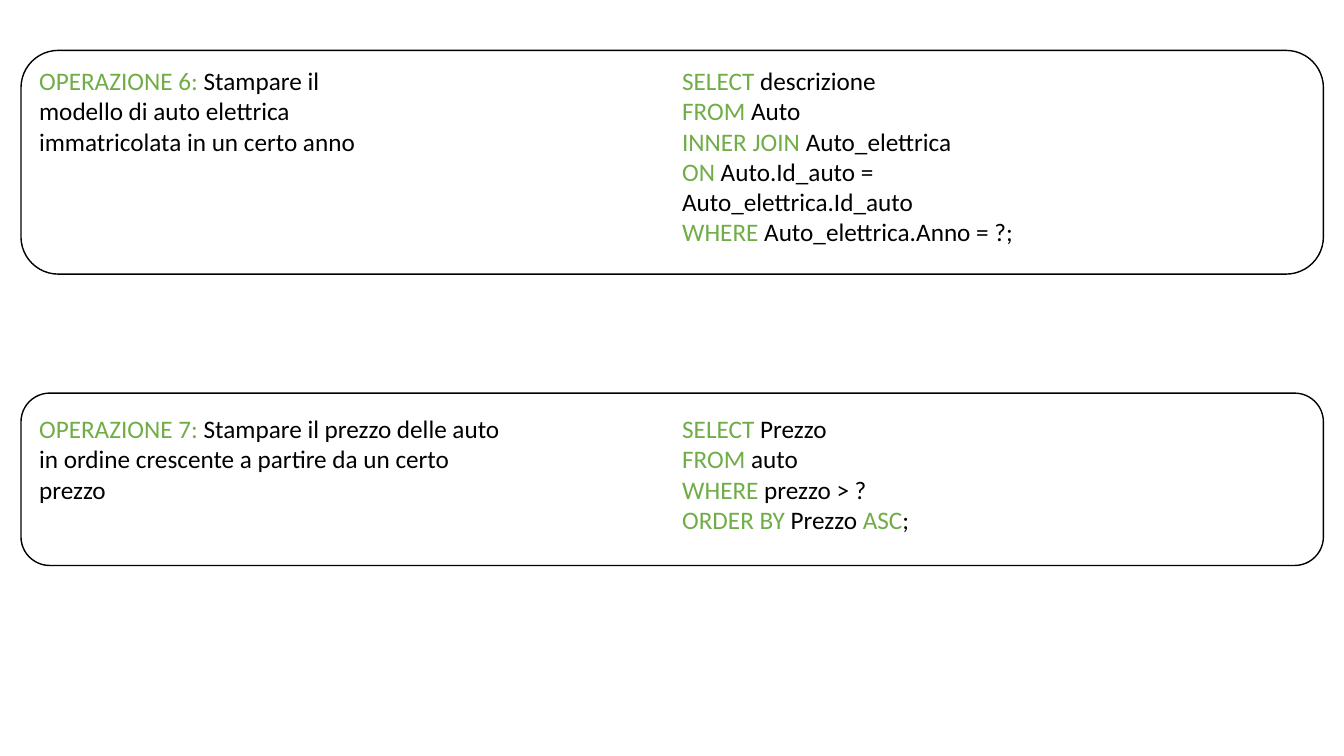
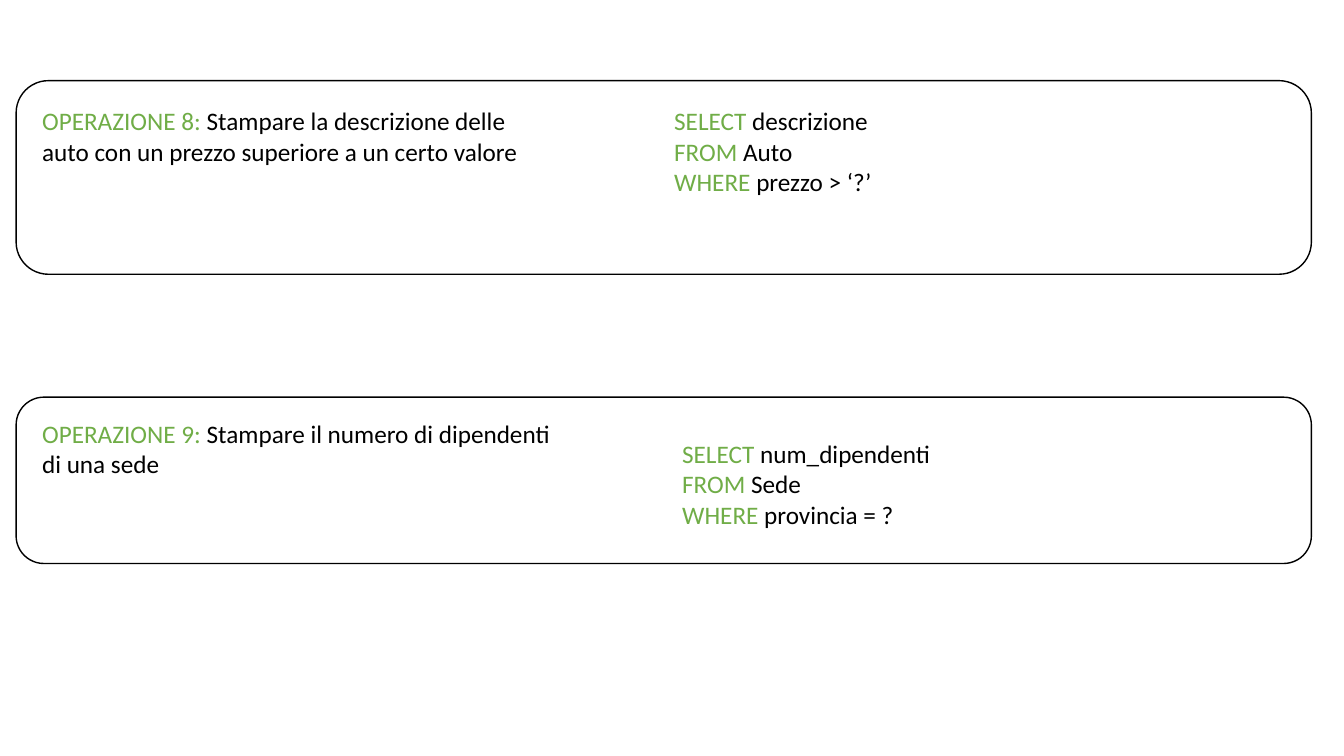
from pptx import Presentation
from pptx.dml.color import RGBColor as Rgb
from pptx.enum.shapes import MSO_SHAPE as Shape
from pptx.enum.text import MSO_AUTO_SIZE as Fit
from pptx.util import Pt

COLORS = {"key": "70AD47", "text": "000000", "line": "000000", "card": "FFFFFF"}
FONT = "Calibri"
BLANK = 6

# Each slide: card left and width, task left, then its operations.
# Words between asterisks are set in the key colour.
SLIDES = [
    (15, 930.3, 20.9, [
        dict(top=36, height=159.8,
             task=(43.2, 266.4, "*OPERAZIONE 6: *Stampare il modello di auto "
                   "elettrica immatricolata in un certo anno"),
             query=(480.2, 43.2, 266.4, [
                 "*SELECT* descrizione",
                 "*FROM* Auto",
                 "*INNER JOIN *Auto_elettrica",
                 "*ON* Auto.Id_auto = Auto_elettrica.Id_auto",
                 "*WHERE* Auto_elettrica.Anno = ?;"])),
        dict(top=280.8, height=123.1,
             task=(291.8, 357.8, "*OPERAZIONE 7: *Stampare il prezzo delle auto "
                   "in ordine crescente a partire da un certo prezzo"),
             query=(480.2, 291.8, 178.6, [
                 "*SELECT* Prezzo",
                 "*FROM* auto",
                 "*WHERE* prezzo > ?",
                 "*ORDER BY *Prezzo *ASC*;"])),
    ]),
    (11.5, 925.2, 23, [
        dict(top=57.6, height=138.3,
             task=(72, 380.2, "*OPERAZIONE 8: *Stampare la descrizione delle "
                   "auto con un prezzo superiore a un certo valore"),
             query=(474.5, 72, 156.3, [
                 "*SELECT* descrizione",
                 "*FROM* Auto",
                 "*WHERE *prezzo > ‘?’"])),
        dict(top=283.7, height=118.8,
             task=(295.2, 380.2, "*OPERAZIONE 9: *Stampare il numero di "
                   "dipendenti di una sede"),
             query=(480.2, 309.6, 401, [
                 "*SELECT *num_dipendenti",
                 "*FROM* Sede",
                 "*WHERE* provincia = ?"])),
    ]),
]


def paint(name):
    return Rgb.from_string(COLORS[name])


def add_run(para, text, size=18, color="text"):
    run = para.add_run()
    run.text = text
    run.font.name = FONT
    run.font.size = Pt(size)
    run.font.color.rgb = paint(color)


def add_text(slide, lines, left, top, width, size=18):
    """Write one paragraph a line, with marked words in the key colour."""
    height = len(lines) * size * 1.2 + 7.2
    box = slide.shapes.add_textbox(Pt(left), Pt(top), Pt(width), Pt(height))
    frame = box.text_frame
    frame.word_wrap = True
    frame.auto_size = Fit.SHAPE_TO_FIT_TEXT
    for row, line in enumerate(lines):
        para = frame.add_paragraph() if row else frame.paragraphs[0]
        for part, text in enumerate(line.split("*")):
            if text:
                add_run(para, text, size=size, color="key" if part % 2 else "text")


def add_card(slide, left, top, width, height):
    card = slide.shapes.add_shape(
        Shape.ROUNDED_RECTANGLE, Pt(left), Pt(top), Pt(width), Pt(height))
    card.shadow.inherit = False
    card.fill.solid()
    card.fill.fore_color.rgb = paint("card")
    card.line.color.rgb = paint("line")
    card.line.width = Pt(1)


def add_slide(deck, left, width, inset, items):
    slide = deck.slides.add_slide(deck.slide_layouts[BLANK])
    for item in items:
        add_card(slide, left, item["top"], width, item["height"])
        top, span, task = item["task"]
        add_text(slide, [task], inset, top, span)
        start, top, span, lines = item["query"]
        add_text(slide, lines, start, top, span)


def main():
    deck = Presentation()
    deck.slide_width, deck.slide_height = Pt(960), Pt(540)
    for page in SLIDES:
        add_slide(deck, *page)
    deck.save("out.pptx")


if __name__ == "__main__":
    main()
